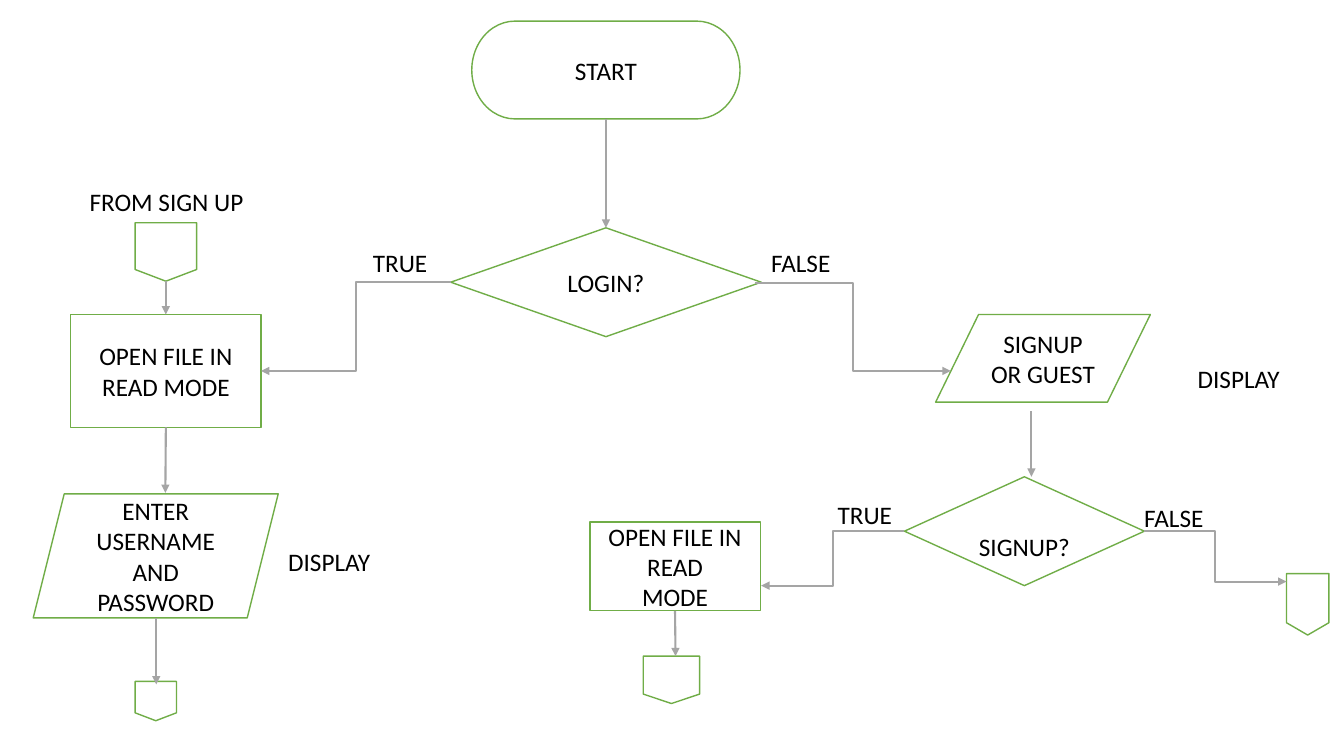
"""Build a flowchart slide of the login and sign-up steps."""
from dataclasses import dataclass
from typing import Optional

from lxml.etree import SubElement
from pptx import Presentation
from pptx.dml.color import RGBColor
from pptx.enum.shapes import MSO_CONNECTOR as Connector, MSO_SHAPE as Shape
from pptx.enum.text import MSO_ANCHOR as Anchor, MSO_AUTO_SIZE as AutoSize, PP_ALIGN as Align
from pptx.oxml.ns import qn
from pptx.util import Inches, Pt

COLORS = {"fill": "FFFFFF", "outline": "70AD47", "arrow": "A5A5A5", "text": "000000"}
TOP, BOTTOM = 0, 2


@dataclass(frozen=True)
class Node:
    key: str
    kind: Shape
    left: float
    top: float
    width: float
    height: float
    text: str = ""
    top_inset: float = 0.05


@dataclass(frozen=True)
class Label:
    text: str
    left: float
    top: float
    width: float


@dataclass(frozen=True)
class Arrow:
    start: tuple[float, float]
    end: tuple[float, float]
    source: Optional[str] = None
    target: Optional[str] = None


NODES = [
    Node("start", Shape.FLOWCHART_TERMINATOR, 4.68, 0.21, 2.66, 0.97, "START"),
    Node("login", Shape.FLOWCHART_DECISION, 4.47, 2.26, 3.08, 1.08, "LOGIN?"),
    Node("login file", Shape.FLOWCHART_PROCESS, 0.7, 3.12, 1.89, 1.12, "OPEN FILE IN READ MODE"),
    Node("credentials", Shape.PARALLELOGRAM, 0.33, 4.9, 2.43, 1.23, "ENTER USERNAME AND PASSWORD"),
    Node("signup or guest", Shape.FLOWCHART_DATA, 9.28, 3.12, 2.13, 0.87, "SIGNUP OR GUEST"),
    Node("signup", Shape.FLOWCHART_DECISION, 8.97, 4.73, 2.38, 1.08, "SIGNUP?", top_inset=0.35),
    Node("signup file", Shape.RECTANGLE, 5.85, 5.18, 1.69, 0.88, "OPEN FILE IN READ\nMODE"),
    Node("signup exit", Shape.FLOWCHART_OFFPAGE_CONNECTOR, 6.38, 6.51, 0.56, 0.47),
    Node("login exit", Shape.FLOWCHART_OFFPAGE_CONNECTOR, 1.34, 6.76, 0.41, 0.39),
    Node("guest exit", Shape.FLOWCHART_OFFPAGE_CONNECTOR, 12.76, 5.69, 0.42, 0.61),
    Node("signup entry", Shape.FLOWCHART_OFFPAGE_CONNECTOR, 1.34, 2.21, 0.61, 0.58),
]

LABELS = [
    Label("TRUE", 3.6, 2.4, 0.76),
    Label("FALSE", 7.55, 2.4, 0.89),
    Label("DISPLAY", 2.76, 5.37, 1.18),
    Label("DISPLAY", 11.78, 3.56, 1.18),
    Label("TRUE", 8.21, 4.9, 0.76),
    Label("FALSE", 11.25, 4.93, 0.89),
    Label("FROM SIGN UP", 0.79, 1.8, 1.97),
]

ARROWS = [
    Arrow((6.01, 1.18), (6.01, 2.26), "start", "login"),
    Arrow((4.47, 2.8), (2.59, 3.68)),
    Arrow((7.49, 2.81), (9.43, 3.68)),
    Arrow((1.64, 4.24), (1.64, 4.89), "login file"),
    Arrow((1.55, 6.13), (1.55, 6.79)),
    Arrow((10.23, 4.08), (10.23, 4.73)),
    Arrow((8.97, 5.27), (7.55, 5.81)),
    Arrow((11.35, 5.27), (12.76, 5.77)),
    Arrow((6.7, 6.06), (6.7, 6.51), "signup file"),
    Arrow((1.64, 2.79), (1.64, 3.1), "signup entry", "login file"),
]


def color(name: str) -> RGBColor:
    return RGBColor.from_string(COLORS[name])


def write_text(shape, text: str, *, size: float = 18, font: str = "Calibri",
               align: Align = Align.LEFT, anchor: Anchor = Anchor.TOP, wrap: bool = True) -> None:
    frame = shape.text_frame
    frame.text = text
    frame.word_wrap = wrap
    frame.vertical_anchor = anchor
    for paragraph in frame.paragraphs:
        paragraph.alignment = align
        for run in paragraph.runs:
            run.font.size = Pt(size)
            run.font.name = font
            run.font.color.rgb = color("text")


def draw_node(slide, node: Node):
    shape = slide.shapes.add_shape(node.kind, Inches(node.left), Inches(node.top),
                                   Inches(node.width), Inches(node.height))
    shape.shadow.inherit = False
    shape.fill.solid()
    shape.fill.fore_color.rgb = color("fill")
    shape.line.color.rgb = color("outline")
    shape.line.width = Pt(1)
    if node.text:
        write_text(shape, node.text, align=Align.CENTER, anchor=Anchor.MIDDLE)
        shape.text_frame.margin_top = Inches(node.top_inset)
    return shape


def draw_label(slide, label: Label) -> None:
    box = slide.shapes.add_textbox(Inches(label.left), Inches(label.top),
                                   Inches(label.width), Inches(0.4))
    write_text(box, label.text, wrap=False)
    box.text_frame.auto_size = AutoSize.SHAPE_TO_FIT_TEXT


def draw_arrow(slide, arrow: Arrow, shapes: dict) -> None:
    kind = Connector.STRAIGHT if arrow.start[0] == arrow.end[0] else Connector.ELBOW
    points = [Inches(value) for value in arrow.start + arrow.end]
    connector = slide.shapes.add_connector(kind, *points)
    if arrow.source:
        connector.begin_connect(shapes[arrow.source], BOTTOM)
    if arrow.target:
        connector.end_connect(shapes[arrow.target], TOP)
    connector.line.color.rgb = color("arrow")
    connector.line.width = Pt(1.5)
    properties = connector._element.spPr
    SubElement(properties.find(qn("a:ln")), qn("a:tailEnd"), type="triangle")
    SubElement(properties, qn("a:effectLst"))


def main() -> None:
    presentation = Presentation()
    presentation.slide_width = Inches(13.33)
    presentation.slide_height = Inches(7.5)
    slide = presentation.slides.add_slide(presentation.slide_layouts[6])
    shapes = {node.key: draw_node(slide, node) for node in NODES}
    for arrow in ARROWS:
        draw_arrow(slide, arrow, shapes)
    for label in LABELS:
        draw_label(slide, label)
    presentation.save("out.pptx")


if __name__ == "__main__":
    main()
